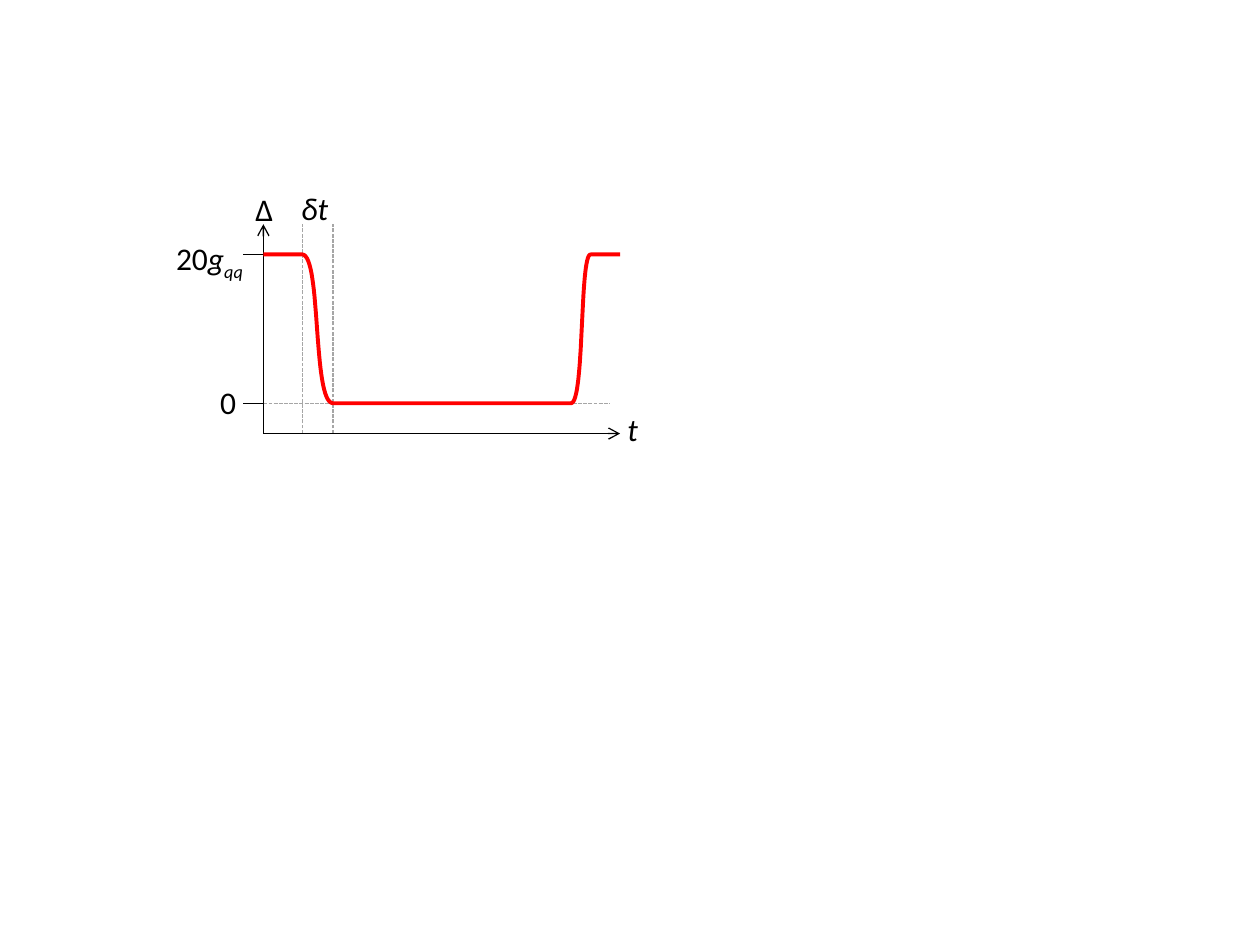
from dataclasses import dataclass

from lxml.etree import SubElement as Sub
from pptx import Presentation as Deck
from pptx.dml.color import RGBColor as Rgb
from pptx.enum.dml import MSO_LINE as Dash
from pptx.enum.shapes import MSO_CONNECTOR as Link
from pptx.enum.text import MSO_AUTO_SIZE as Fit
from pptx.oxml.ns import qn
from pptx.util import Cm, Pt


@dataclass(frozen=True)
class Theme:
    ink: Rgb = Rgb(0, 0, 0)
    guide: Rgb = Rgb(0xA6, 0xA6, 0xA6)
    pulse: Rgb = Rgb(0xFF, 0, 0)
    face: str = "Calibri"
    size: Pt = Pt(18)
    thin: Pt = Pt(0.75)
    thick: Pt = Pt(2.25)


def bend(start, pull, push, end, steps=32):
    def at(t):
        s = 1 - t
        mix = (s**3, 3 * s * s * t, 3 * s * t * t, t**3)
        return tuple(sum(m * v for m, v in zip(mix, axis)) for axis in zip(start, pull, push, end))

    return [at(i / steps) for i in range(steps + 1)]


class Plot:
    """Draws lines, curves and labels on one slide in a shared style."""

    def __init__(self, slide, theme):
        self.shapes = slide.shapes
        self.theme = theme

    def line(self, start, end, tint=None, dash=None, arrow=False):
        link = self.shapes.add_connector(Link.STRAIGHT, *map(Cm, start + end))
        link.line.color.rgb = tint or self.theme.ink
        link.line.width = self.theme.thin
        if dash:
            link.line.dash_style = dash
        if arrow:
            Sub(link.line._get_or_add_ln(), qn("a:tailEnd"), type="arrow")
        Sub(link._element.spPr, qn("a:effectLst"))

    def guide(self, start, end):
        self.line(start, end, self.theme.guide, Dash.SQUARE_DOT)

    def curve(self, points):
        first, *rest = [(Cm(x), Cm(y)) for x, y in points]
        pen = self.shapes.build_freeform(*first)
        pen.add_line_segments(rest, close=False)
        form = pen.convert_to_shape()
        form.shadow.inherit = False
        form.fill.background()
        form.line.color.rgb = self.theme.pulse
        form.line.width = self.theme.thick

    def label(self, left, top, width, text, slant=False):
        box = self.shapes.add_textbox(*map(Cm, (left, top, width, 1.02)))
        frame = box.text_frame
        frame.word_wrap = True
        frame.auto_size = Fit.SHAPE_TO_FIT_TEXT
        para = frame.paragraphs[0]
        font = para.font
        font.name, font.size, font.italic = self.theme.face, self.theme.size, slant
        font.color.rgb = self.theme.ink
        para.add_run().text = text
        return para

    def slant(self, para, text, base=None):
        run = para.add_run()
        run.text = text
        run.font.italic = True
        if base:
            run.font._element.set("baseline", str(base * 1000))


def main():
    deck = Deck()
    deck.slide_width, deck.slide_height = Cm(25.4), Cm(19.05)
    plot = Plot(deck.slides.add_slide(deck.slide_layouts[6]), Theme())

    left, right, tick = 5.31, 12.5, 4.9
    top, high, low, floor = 4.52, 5.13, 8.13, 8.74
    fall, drop, rise, peak = 6.1, 6.71, 11.51, 11.91

    for x in (fall, drop):
        plot.guide((x, floor), (x, top))
    plot.guide((left, low), (12.29, low))
    for end in ((left, top), (right, floor)):
        plot.line((left, floor), end, arrow=True)

    down = bend((fall, high), (6.48, 5.18), (6.3, 8.1), (drop, low))
    up = bend((rise, low), (11.79, low), (11.68, 5.11), (peak, high))
    plot.curve([(left, high), *down, *up, (right, high)])
    for y in (high, low):
        plot.line((left, y), (tick, y))

    gap = plot.label(3.3, 4.7, 2.21, "20")
    plot.slant(gap, "g")
    plot.slant(gap, "qq", base=-25)
    plot.label(4.19, 7.59, 2.21, "0")
    plot.label(4.9, 3.71, 2.21, "Δ")
    plot.label(5.82, 3.68, 1.19, "δt", slant=True)
    plot.label(12.4, 8.15, 1.19, "t", slant=True)

    deck.save("out.pptx")


if __name__ == "__main__":
    main()
